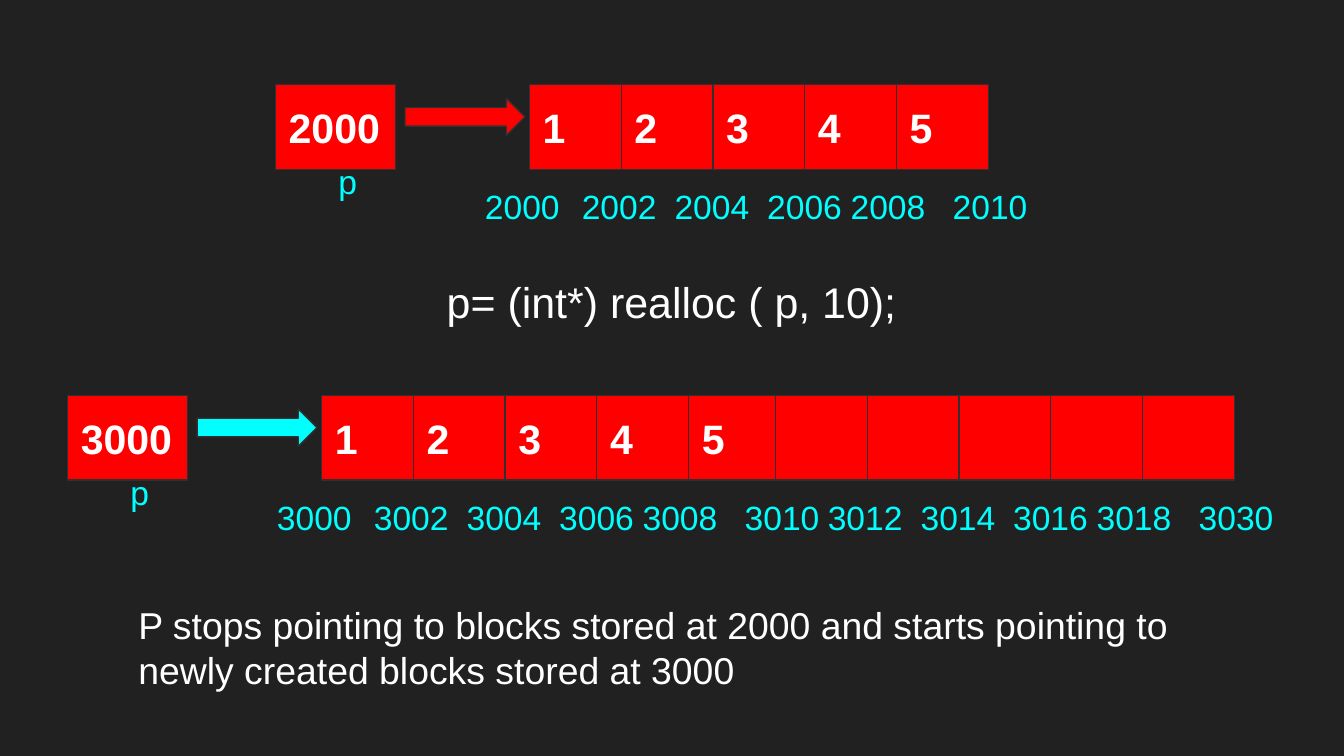
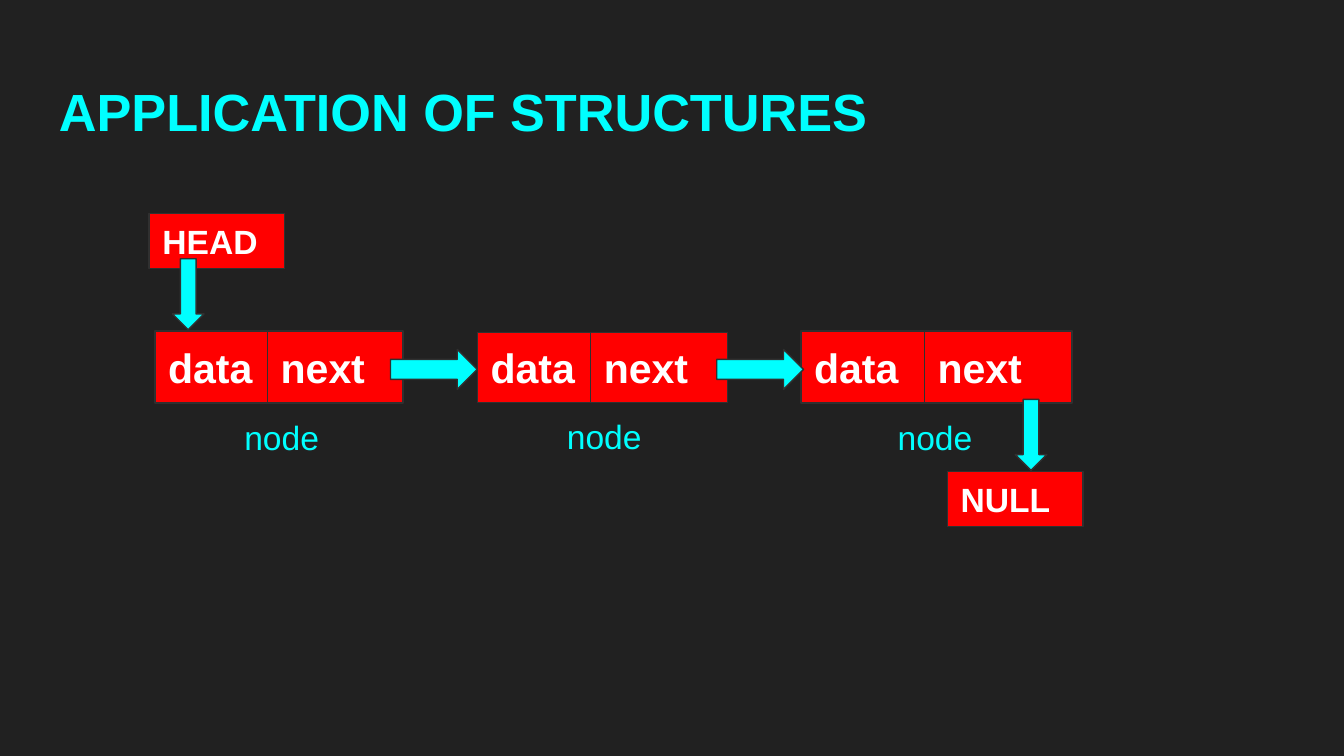
"""Build two slides on reallocating memory and on linked nodes."""
import dataclasses

import pptx
import pptx.dml.color
import pptx.enum.shapes
import pptx.enum.text
import pptx.presentation
import pptx.shapes.autoshape
import pptx.slide
import pptx.util

Pt = pptx.util.Pt
Preset = pptx.enum.shapes.MSO_SHAPE
Align = pptx.enum.text.PP_ALIGN
Anchor = pptx.enum.text.MSO_ANCHOR

COLORS = {
    "background": "212121",
    "block": "FF0000",
    "accent": "00FFFF",
    "outline": "303030",
    "light": "FFFFFF",
}
FONT = "Arial"
INSET = 7.2
CELL_PITCH = 49.15
CELL_HEIGHT = 45.4
POINTER_WIDTH = 64.2
ARRAY_OFFSET = 136.1
EXTENSION_OFFSET = 243.2
ADDRESS_OFFSETS = (-31, 20.9, 70.6, 120.2, 164.9, 219.6)
ADDRESS_WIDTHS = (60.5, 60.5, 60.5, 60.5, 64, 54.7)


@dataclasses.dataclass(frozen=True)
class Box:
    left: float
    top: float
    width: float
    height: float

    def lengths(self) -> list[pptx.util.Length]:
        return [Pt(value) for value in dataclasses.astuple(self)]


@dataclasses.dataclass(frozen=True)
class Memory:
    left: float
    top: float
    arrow_color: str
    addresses: tuple[int, ...]
    extension: tuple[int, ...] = ()


@dataclasses.dataclass(frozen=True)
class Node:
    left: float
    top: float
    data_width: float
    next_width: float
    height: float
    label_left: float
    label_width: float


@dataclasses.dataclass(frozen=True)
class Arrow:
    preset: Preset
    box: Box


MEMORIES = (
    Memory(147.6, 45.4, "block", (2000, 2002, 2004, 2006, 2008, 2010)),
    Memory(36.2, 211.9, "accent", (3000, 3002, 3004, 3006, 3008, 3010),
           (3012, 3014, 3016, 3018, 3030)),
)
NODES = (
    Node(255.8, 178.2, 60.6, 73.4, 37.4, 296.6, 66.2),
    Node(429.1, 177.4, 66.1, 79.2, 38.6, 473.8, 72),
    Node(83, 177.4, 60.3, 72.7, 38.6, 123.8, 66.2),
)
ENDS = {"HEAD": (79.9, 114.4), "NULL": (507.6, 252.6)}
LINKS = (
    Arrow(Preset.DOWN_ARROW, Box(92.4, 138.6, 16.9, 38)),
    Arrow(Preset.RIGHT_ARROW, Box(209.2, 187.2, 46.5, 21.4)),
    Arrow(Preset.RIGHT_ARROW, Box(384, 187.2, 46.5, 21.4)),
    Arrow(Preset.DOWN_ARROW, Box(543.9, 214, 16.9, 38)),
)


def rgb(color: str) -> pptx.dml.color.RGBColor:
    return pptx.dml.color.RGBColor.from_string(COLORS[color])


def write(shape: pptx.shapes.autoshape.Shape, text: str, *, size: float = 18,
          color: str = "accent", bold: bool = False, align: Align = Align.LEFT,
          anchor: Anchor = Anchor.TOP, indent: float = 0) -> None:
    frame = shape.text_frame
    frame.word_wrap = True
    frame.vertical_anchor = anchor
    frame.margin_left = Pt(INSET + indent)
    frame.margin_top = frame.margin_right = frame.margin_bottom = Pt(INSET)
    paragraph = frame.paragraphs[0]
    paragraph.alignment = align
    run = paragraph.add_run()
    run.text = text
    run.font.name = FONT
    run.font.size = Pt(size)
    run.font.bold = bold
    run.font.color.rgb = rgb(color)


def add_label(slide: pptx.slide.Slide, box: Box, text: str, **style) -> None:
    write(slide.shapes.add_textbox(*box.lengths()), text, **style)


def add_figure(slide: pptx.slide.Slide, preset: Preset, box: Box,
               color: str) -> pptx.shapes.autoshape.Shape:
    figure = slide.shapes.add_shape(preset, *box.lengths())
    figure.shadow.inherit = False
    figure.fill.solid()
    figure.fill.fore_color.rgb = rgb(color)
    figure.line.color.rgb = rgb("outline")
    figure.line.width = Pt(0.75)
    return figure


def add_block(slide: pptx.slide.Slide, box: Box, text: str = "",
              size: float = 22) -> None:
    block = add_figure(slide, Preset.RECTANGLE, box, "block")
    if text:
        write(block, text, size=size, color="light", bold=True,
              anchor=Anchor.MIDDLE)


def add_cells(slide: pptx.slide.Slide, left: float, top: float,
              values: list[str], addresses: tuple[int, ...]) -> None:
    for index, value in enumerate(values):
        add_block(slide, Box(left + index * CELL_PITCH, top, CELL_PITCH,
                             CELL_HEIGHT), value)
    first = len(ADDRESS_OFFSETS) - len(addresses)
    for address, offset, width in zip(addresses, ADDRESS_OFFSETS[first:],
                                      ADDRESS_WIDTHS[first:]):
        add_label(slide, Box(left + offset, top + 47, width, 25.2),
                  str(address))


def add_memory(slide: pptx.slide.Slide, memory: Memory) -> None:
    left, top = memory.left, memory.top
    add_cells(slide, left + ARRAY_OFFSET, top, list("12345"),
              memory.addresses)
    add_block(slide, Box(left, top, POINTER_WIDTH, CELL_HEIGHT),
              str(memory.addresses[0]))
    add_figure(slide, Preset.RIGHT_ARROW,
               Box(left + 69.4, top + 7.2, POINTER_WIDTH, 20),
               memory.arrow_color)
    add_label(slide, Box(left + 11.5, top + 33.8, 60.5, 25.2), "p", indent=15)
    if memory.extension:
        add_cells(slide, left + ARRAY_OFFSET + EXTENSION_OFFSET, top,
                  [""] * len(memory.extension), memory.extension)


def add_node(slide: pptx.slide.Slide, node: Node) -> None:
    add_block(slide, Box(node.left, node.top, node.data_width, node.height),
              "data")
    add_block(slide, Box(node.left + node.data_width, node.top,
                         node.next_width, node.height), "next")
    add_label(slide, Box(node.label_left, node.top + node.height,
                         node.label_width, 21.4), "node")


def new_slide(deck: pptx.presentation.Presentation) -> pptx.slide.Slide:
    slide = deck.slides.add_slide(deck.slide_layouts[6])
    slide.background.fill.solid()
    slide.background.fill.fore_color.rgb = rgb("background")
    return slide


def build_realloc(deck: pptx.presentation.Presentation) -> None:
    slide = new_slide(deck)
    add_label(slide, Box(24.5, 140.4, 671, 49.7),
              "p= (int*) realloc ( p, 10);", size=23, color="light",
              align=Align.CENTER)
    for memory in MEMORIES:
        add_memory(slide, memory)
    add_label(slide, Box(67, 315.4, 574.6, 41),
              "P stops pointing to blocks stored at 2000 and starts pointing "
              "to newly created blocks stored at 3000", size=20,
              color="light")


def build_linked_nodes(deck: pptx.presentation.Presentation) -> None:
    slide = new_slide(deck)
    add_label(slide, Box(24.5, 35.3, 671, 45.4), "APPLICATION OF STRUCTURES",
              size=28, bold=True)
    for node in NODES:
        add_node(slide, node)
    for name, (left, top) in ENDS.items():
        add_block(slide, Box(left, top, 72.6, 29.5), name, size=18)
    for link in LINKS:
        add_figure(slide, link.preset, link.box, "accent")


def main() -> None:
    deck = pptx.Presentation()
    deck.slide_width, deck.slide_height = Pt(720), Pt(405)
    build_realloc(deck)
    build_linked_nodes(deck)
    deck.save("out.pptx")


if __name__ == "__main__":
    main()
